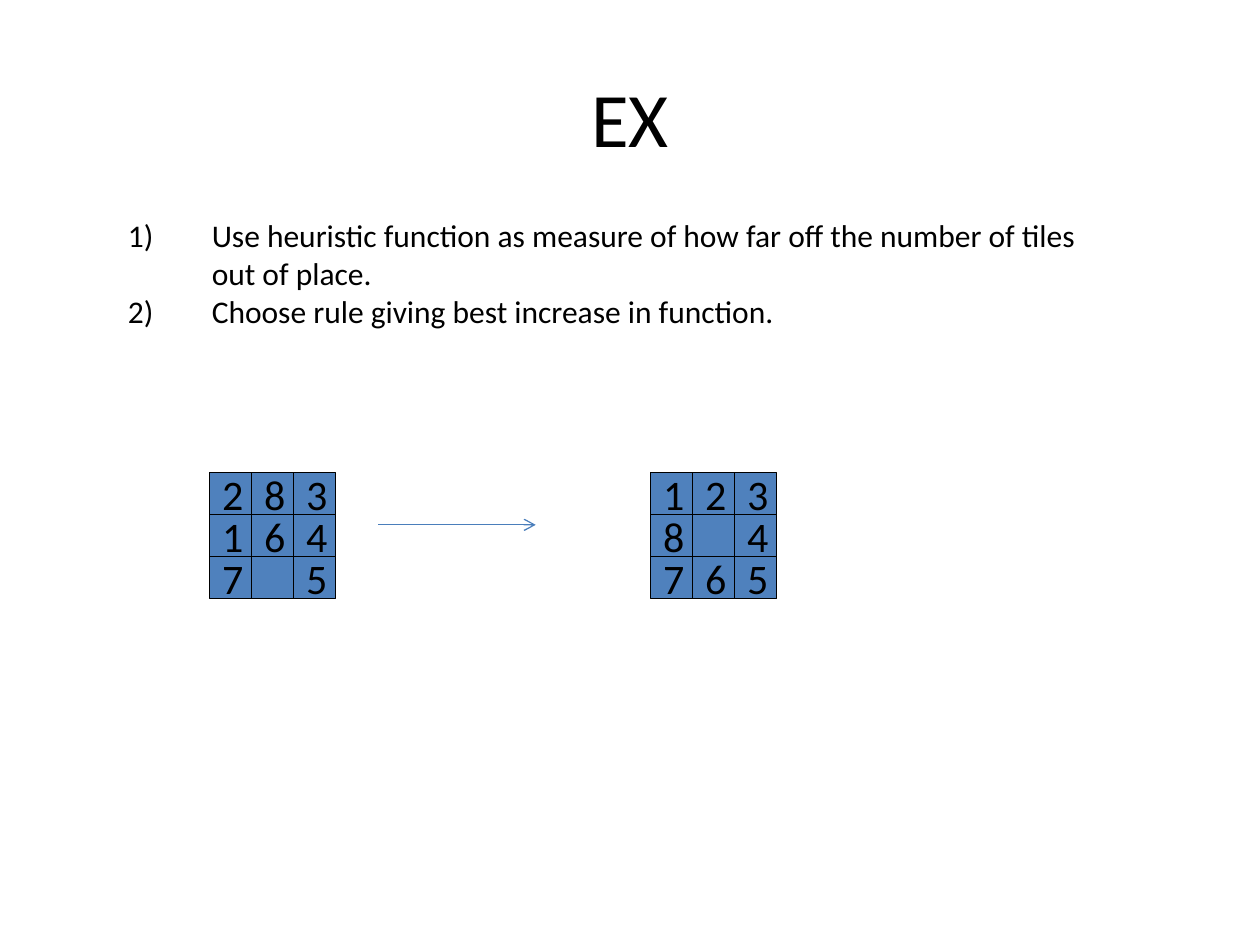
from dataclasses import dataclass

from lxml import etree
from pptx import Presentation
from pptx import util as u
from pptx.dml.color import RGBColor
from pptx.enum import shapes, text
from pptx.oxml import ns

COLORS = {"text": "000000", "tile": "4F81BD", "border": "000000", "arrow": "4A7EBB"}
FONT = "Calibri"
TILE = 2.54 / 3
DIGIT_WIDTH, DIGIT_HEIGHT, DIGIT_RISE = 0.94, 1.27, 0.21
HANGING = 1.69


@dataclass(frozen=True)
class Area:
    left: float
    top: float
    width: float
    height: float

    def lengths(self) -> list[u.Cm]:
        return [u.Cm(value) for value in (self.left, self.top, self.width, self.height)]


@dataclass(frozen=True)
class Board:
    left: float
    top: float
    rows: tuple[str, ...]


BOARDS = (
    Board(4.23, 9.53, ("283", "164", "7 5")),
    Board(13.12, 9.53, ("123", "8 4", "765")),
)
STEPS = (
    "Use heuristic function as measure of how far off the number of tiles out of place.",
    "Choose rule giving best increase in function.",
)


def color(name: str) -> RGBColor:
    return RGBColor.from_string(COLORS[name])


def add_text(parent, area: Area, content: str, size: int, wrap: bool = True):
    box = parent.add_textbox(*area.lengths())
    frame = box.text_frame
    frame.text = content
    frame.word_wrap = wrap
    for para in frame.paragraphs:
        for span in para.runs:
            span.font.name = FONT
            span.font.size = u.Pt(size)
            span.font.color.rgb = color("text")
    return frame


def add_title(page, content: str) -> None:
    frame = add_text(page.shapes, Area(1.27, 0.76, 22.86, 3.18), content, 44)
    frame.vertical_anchor = text.MSO_ANCHOR.MIDDLE
    frame.paragraphs[0].alignment = text.PP_ALIGN.CENTER


def add_steps(page, steps: tuple[str, ...]) -> None:
    frame = add_text(page.shapes, Area(2.33, 4.23, 20.11, 2.54), "\n".join(steps), 18)
    frame.auto_size = text.MSO_AUTO_SIZE.SHAPE_TO_FIT_TEXT
    for para in frame.paragraphs:
        properties = para._p.get_or_add_pPr()
        properties.set("marL", str(u.Cm(HANGING)))
        properties.set("indent", str(-u.Cm(HANGING)))
        etree.SubElement(properties, ns.qn("a:buAutoNum"), type="arabicParenR")


def add_tile(parent, area: Area) -> None:
    tile = parent.add_shape(shapes.MSO_SHAPE.RECTANGLE, *area.lengths())
    tile.shadow.inherit = False
    tile.fill.solid()
    tile.fill.fore_color.rgb = color("tile")
    tile.line.color.rgb = color("border")
    tile.line.width = u.Pt(0.75)


def add_board(page, board: Board) -> None:
    group = page.shapes.add_group_shape().shapes
    cells = [
        (board.left + column * TILE, board.top + row * TILE, digit)
        for row, digits in enumerate(board.rows)
        for column, digit in enumerate(digits)
    ]
    for left, top, _ in cells:
        add_tile(group, Area(left, top, TILE, TILE))
    for left, top, digit in cells:
        if digit.strip():
            area = Area(left, top - DIGIT_RISE, DIGIT_WIDTH, DIGIT_HEIGHT)
            frame = add_text(group, area, digit, 24, wrap=False)
            frame.auto_size = text.MSO_AUTO_SIZE.SHAPE_TO_FIT_TEXT


def add_arrow(page, left: float, right: float, top: float) -> None:
    arrow = page.shapes.add_connector(
        shapes.MSO_CONNECTOR.STRAIGHT, u.Cm(left), u.Cm(top), u.Cm(right), u.Cm(top)
    )
    arrow.line.color.rgb = color("arrow")
    arrow.line.width = u.Pt(0.75)
    properties = arrow.element.spPr
    etree.SubElement(properties.find(ns.qn("a:ln")), ns.qn("a:tailEnd"), type="arrow")
    etree.SubElement(properties, ns.qn("a:effectLst"))


def main() -> None:
    deck = Presentation()
    deck.slide_width, deck.slide_height = u.Cm(25.4), u.Cm(19.05)
    page = deck.slides.add_slide(deck.slide_layouts[6])
    add_title(page, "EX")
    add_steps(page, STEPS)
    for board in BOARDS:
        add_board(page, board)
    add_arrow(page, 7.62, 10.8, 10.58)
    deck.save("out.pptx")


if __name__ == "__main__":
    main()
